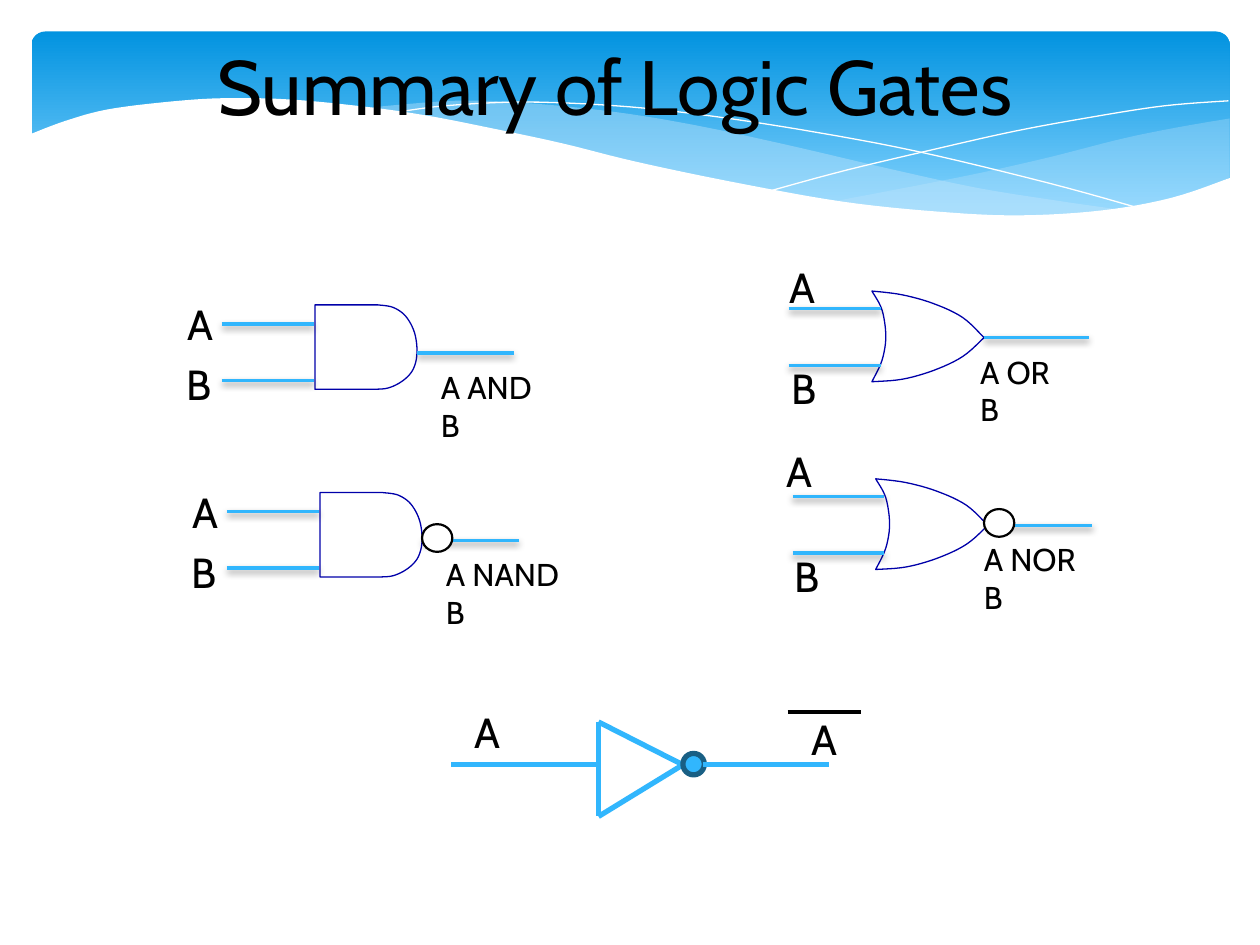
from dataclasses import dataclass

from lxml.etree import SubElement
from pptx import Presentation
from pptx.dml.color import RGBColor
from pptx.enum.shapes import MSO_CONNECTOR, MSO_SHAPE
from pptx.enum.text import MSO_ANCHOR, MSO_AUTO_SIZE, PP_ALIGN
from pptx.oxml.ns import qn
from pptx.util import Inches, Pt


@dataclass(frozen=True)
class Theme:
    font: str = "Cabin"
    title: int = 44
    label: int = 24
    result: int = 18
    ink: str = "000000"
    paper: str = "FFFFFF"
    wire: str = "31B6FD"
    rim: str = "195F84"
    body: str = "0000A9"
    wave: str = "C6E7FC"
    top: str = "0293E0"
    base: str = "83D3FE"


THEME = Theme()


@dataclass(frozen=True)
class Gate:
    """Parts of a gate, measured from the top left of its body."""
    runs: list      # smooth stretches of the outline
    pins: tuple     # left, right, upper and lower y of the inputs
    tip: tuple      # where the output leaves
    end: float      # where the output stops
    a: tuple
    b: tuple
    result: tuple


AND = Gate(
    runs=[[(0, 0), (0.5, 0)],
          [(0.5, 0), (0.62, 0.02), (0.72, 0.09), (0.79, 0.22), (0.81, 0.38),
           (0.78, 0.51), (0.7, 0.6), (0.58, 0.66), (0.45, 0.67)],
          [(0.45, 0.67), (0, 0.67)]],
    pins=(-0.74, -0.01, 0.15, 0.6), tip=(0.81, 0.38), end=1.58,
    a=(-1.11, -0.1), b=(-1.12, 0.38), result=(0.9, 0.45))
OR = Gate(
    runs=[[(0, 0), (0.08, 0.15), (0.11, 0.36), (0.08, 0.55), (0, 0.72)],
          [(0, 0.72), (0.24, 0.7), (0.49, 0.63), (0.72, 0.52), (0.89, 0.37)],
          [(0.89, 0.37), (0.72, 0.21), (0.49, 0.1), (0.24, 0.03), (0, 0)]],
    pins=(-0.66, 0.07, 0.14, 0.59), tip=(0.89, 0.37), end=1.72,
    a=(-0.75, -0.28), b=(-0.74, 0.52), result=(0.76, 0.44))

# Filled bands: outline runs and opacity in percent
BANDS = [
    ([[(9.76, 0.94), (9.35, 1.01), (8.91, 1.1), (8.32, 1.25), (7.79, 1.37),
       (7.29, 1.47), (6.61, 1.6)],
      [(6.61, 1.6), (7.05, 1.65), (7.57, 1.7), (8.14, 1.72), (8.63, 1.7),
       (9.05, 1.63), (9.42, 1.54), (9.76, 1.41)]], 29),
    ([[(8.93, 1.67), (8.37, 1.59), (7.75, 1.49), (7.06, 1.34), (6.29, 1.16),
       (5.55, 1), (4.89, 0.89), (4.2, 0.82), (3.61, 0.8), (2.86, 0.86)],
      [(2.86, 0.86), (3.42, 0.94), (4.04, 1.06), (4.91, 1.26), (5.66, 1.43),
       (6.34, 1.56), (6.95, 1.65), (7.61, 1.71), (8.28, 1.73), (8.93, 1.67)]], 40),
]
STREAKS = [
    [(3.09, 0.9), (3.53, 0.84), (4.16, 0.81), (4.89, 0.84), (5.56, 0.91),
     (6.36, 1.03), (7.27, 1.2), (8.31, 1.45), (9.07, 1.66)],
    [(6.13, 1.51), (6.72, 1.35), (7.48, 1.17), (8.06, 1.04), (8.66, 0.93),
     (9.24, 0.84), (9.75, 0.8)],
]
FRONT = [
    [(9.77, 1.41), (9.3, 1.57), (8.75, 1.67), (8.09, 1.71), (7.44, 1.68),
     (6.68, 1.6), (5.79, 1.44), (5.03, 1.28), (4.47, 1.14), (3.91, 1.02),
     (3.4, 0.92), (2.92, 0.85), (2.3, 0.79), (1.77, 0.78), (1.32, 0.81),
     (0.85, 0.87), (0.52, 0.96), (0.23, 1.07)],
    [(0.23, 1.07), (0.23, 2.24)], [(0.23, 2.24), (9.77, 2.24)],
]


def rgb(code):
    return RGBColor.from_string(code)


def smooth(run, steps=6):
    """Points on a Catmull-Rom curve through the run."""
    ends = [run[0], *run, run[-1]]
    out = [run[0]]
    for p, q, r, s in zip(ends, ends[1:], ends[2:], ends[3:]):
        for i in range(1, steps + 1):
            t = i / steps
            out.append(tuple(
                (2 * b + (c - a) * t + (2 * a - 5 * b + 4 * c - d) * t ** 2
                 + (3 * b - a - 3 * c + d) * t ** 3) / 2
                for a, b, c, d in zip(p, q, r, s)))
    return out


def paint(shape, fill=None, line=None, width=0, alpha=None):
    shape.shadow.inherit = False
    if fill:
        shape.fill.solid()
        shape.fill.fore_color.rgb = rgb(fill)
        if alpha:
            color = shape.fill._xPr.find(".//" + qn("a:srgbClr"))
            SubElement(color, qn("a:alpha"), val=str(alpha * 1000))
    else:
        shape.fill.background()
    if line:
        shape.line.color.rgb = rgb(line)
        shape.line.width = Pt(width)
    else:
        shape.line.fill.background()


def trace(slide, runs, x=0, y=0, close=True, **look):
    pts = [(Inches(x + u), Inches(y + v)) for run in runs for u, v in smooth(run)]
    pen = slide.shapes.build_freeform(*pts[0])
    pen.add_line_segments(pts[1:], close=close)
    paint(pen.convert_to_shape(), **look)


def wire(slide, start, end, color=THEME.wire, width=3, shade=False):
    line = slide.shapes.add_connector(
        MSO_CONNECTOR.STRAIGHT, *(Inches(n) for n in (*start, *end)))
    line.line.color.rgb = rgb(color)
    line.line.width = Pt(width)
    effect = SubElement(line._element.spPr, qn("a:effectLst"))
    if shade:
        drop = SubElement(effect, qn("a:outerShdw"), blurRad=str(Pt(4)),
                          dist=str(Pt(2)), dir="5400000", rotWithShape="0")
        color = SubElement(drop, qn("a:srgbClr"), val=THEME.ink)
        SubElement(color, qn("a:alpha"), val="38000")


def dot(slide, x, y, w, h, **look):
    paint(slide.shapes.add_shape(
        MSO_SHAPE.OVAL, *(Inches(n) for n in (x, y, w, h))), **look)


def style(para, size):
    para.font.name, para.font.size = THEME.font, Pt(size)
    para.font.color.rgb = rgb(THEME.ink)


def label(slide, text, x, y, w=0.41, h=0.5, size=THEME.label, wrap=False):
    frame = slide.shapes.add_textbox(*(Inches(n) for n in (x, y, w, h))).text_frame
    frame.word_wrap = wrap
    frame.auto_size = MSO_AUTO_SIZE.SHAPE_TO_FIT_TEXT
    frame.text = text
    style(frame.paragraphs[0], size)


def gate(slide, kind, x, y, text, wide, a=None, bubble=None):
    def at(spot):
        return x + spot[0], y + spot[1]

    trace(slide, kind.runs, x, y, line=THEME.body)
    left, right, *rows = kind.pins
    for row in rows:
        wire(slide, at((left, row)), at((right, row)), width=2, shade=True)
    wire(slide, at(kind.tip), at((kind.end, kind.tip[1])), width=2, shade=True)
    label(slide, "A", *at(a or kind.a))
    label(slide, "B", *at(kind.b))
    label(slide, text, *at(kind.result), wide, 0.4, THEME.result, True)
    if bubble:
        dot(slide, *at(bubble), 0.24, 0.22, fill=THEME.paper, line=THEME.ink, width=1.25)


def negate(slide):
    """The NOT gate, with its barred output."""
    top, low, tip = (4.75, 5.73), (4.75, 6.48), (5.42, 6.07)
    wire(slide, (3.58, 6.07), (4.75, 6.07))
    for start, end in ((top, low), (top, tip), (tip, low)):
        wire(slide, start, end)
    dot(slide, 5.42, 5.98, 0.17, 0.17, fill=THEME.wire, line=THEME.rim, width=3)
    wire(slide, (5.58, 6.07), (6.58, 6.07))
    label(slide, "A", 3.67, 5.56)
    label(slide, "A", 6.34, 5.61)
    wire(slide, (6.25, 5.65), (6.83, 5.65), THEME.ink, 2.25)


def banner(slide):
    box = slide.shapes.add_shape(MSO_SHAPE.ROUNDED_RECTANGLE, Inches(0.25),
                                 Inches(0.25), Inches(9.51), Inches(1.56))
    box.adjustments[0] = 0.07
    paint(box)
    box.fill.gradient()
    box.fill.gradient_angle = 270
    for stop, color, spot in zip(box.fill.gradient_stops,
                                 (THEME.top, THEME.base), (0, 0.9)):
        stop.color.rgb, stop.position = rgb(color), spot
    for runs, alpha in BANDS:
        trace(slide, runs, fill=THEME.wave, alpha=alpha)
    for run in STREAKS:
        trace(slide, [run], close=False, line=THEME.paper)
    trace(slide, FRONT, fill=THEME.paper)


def head(slide, text):
    title = slide.shapes.title
    title.left, title.top = Inches(0.17), Inches(0.25)
    title.width, title.height = Inches(9.42), Inches(0.84)
    title.text_frame.text = text
    title.text_frame.vertical_anchor = MSO_ANCHOR.MIDDLE
    para = title.text_frame.paragraphs[0]
    para.alignment = PP_ALIGN.CENTER
    style(para, THEME.title)
    # Bring the title in front of the banner
    slide.shapes._spTree.append(title._element)


def main():
    deck = Presentation()
    deck.slide_width, deck.slide_height = Inches(10), Inches(7.5)
    slide = deck.slides.add_slide(deck.slide_layouts[5])
    # Banner and title
    banner(slide)
    head(slide, "Summary of Logic Gates")
    # Two-input gates
    gate(slide, AND, 2.5, 2.42, "A AND B", 1.05)
    gate(slide, OR, 6.92, 2.31, "A OR B", 0.89)
    gate(slide, AND, 2.54, 3.91, "A NAND B", 1.22, bubble=(0.81, 0.25))
    gate(slide, OR, 6.95, 3.8, "A NOR B", 1.06, a=(-0.81, -0.31), bubble=(0.86, 0.24))
    # Inverter
    negate(slide)
    deck.save("out.pptx")


if __name__ == "__main__":
    main()
